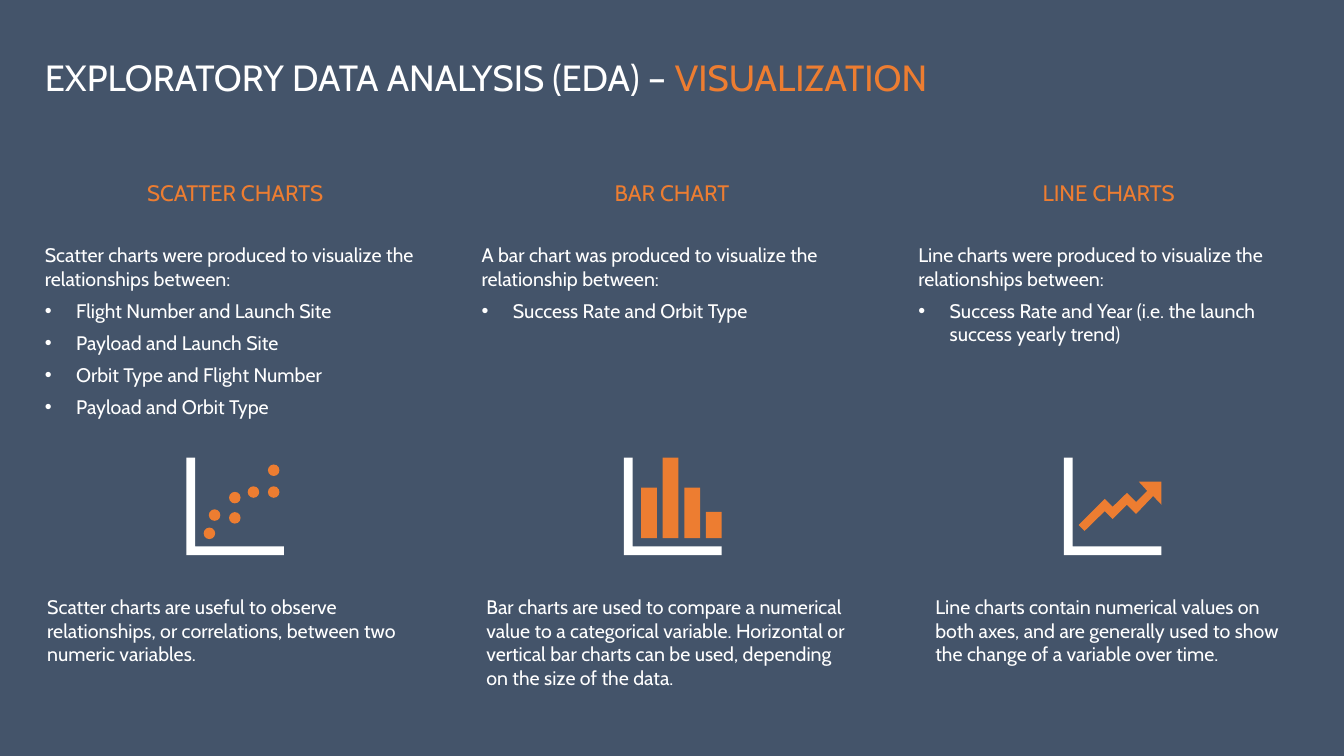
from lxml.etree import SubElement
from pptx import Presentation
from pptx.dml.color import RGBColor
from pptx.enum.shapes import MSO_SHAPE as Preset
from pptx.enum.text import MSO_ANCHOR as Anchor, PP_ALIGN as Align
from pptx.oxml.ns import qn
from pptx.util import Cm, Pt

WHITE, ORANGE, SLATE = "FFFFFF", "ED7D31", "44546A"
rgb = RGBColor.from_string

prs = Presentation()
prs.slide_width, prs.slide_height = Cm(33.88), Cm(19.05)
slide = prs.slides.add_slide(prs.slide_layouts[6])
slide.background.fill.solid()
slide.background.fill.fore_color.rgb = rgb(SLATE)
shapes = slide.shapes


def add_text(box, paragraphs, size, anchor=Anchor.TOP, insets=(0, 0), **formats):
    """Write paragraphs, each a list of (text, colour) runs, and return them."""
    frame = shapes.add_textbox(*map(Cm, box)).text_frame
    frame.word_wrap, frame.vertical_anchor = True, anchor
    frame.margin_left = frame.margin_right = Cm(insets[0])
    frame.margin_top = frame.margin_bottom = Cm(insets[1])
    for index, runs in enumerate(paragraphs):
        paragraph = frame.add_paragraph() if index else frame.paragraphs[0]
        for name, value in formats.items():
            setattr(paragraph, name, value)
        for text, colour in runs:
            run = paragraph.add_run()
            run.text = text
            run.font.name, run.font.size = "Cabin", Pt(size)
            run.font.color.rgb = rgb(colour)
    return frame.paragraphs


def paint(shape, colour):
    shape.shadow.inherit = False
    shape.fill.solid()
    shape.fill.fore_color.rgb = rgb(colour)
    shape.line.fill.background()


add_text((1.13, 0.53, 30.4, 1.98),
         [[("EXPLORATORY DATA ANALYSIS (EDA) – ", WHITE), ("VISUALIZATION", ORANGE)]],
         26, Anchor.BOTTOM, line_spacing=0.9)

# Heading, introduction, bullets, closing note, left and height of the note
columns = [
    ("SCATTER CHARTS",
     "Scatter charts were produced to visualize the relationships between:",
     ["Flight Number and Launch Site", "Payload and Launch Site",
      "Orbit Type and Flight Number", "Payload and Orbit Type"],
     "Scatter charts are useful to observe relationships, or correlations, "
     "between two numeric variables.", 0.94, 2.03),
    ("BAR CHART",
     "A bar chart was produced to visualize the relationship between:",
     ["Success Rate and Orbit Type"],
     "Bar charts are used to compare a numerical value to a categorical variable. "
     "Horizontal or vertical bar charts can be used, depending on the size of the data.",
     12.01, 3.2),
    ("LINE CHARTS",
     "Line charts were produced to visualize the relationships between:",
     ["Success Rate and Year (i.e. the launch success yearly trend)"],
     "Line charts contain numerical values on both axes, and are generally used "
     "to show the change of a variable over time.", 23.33, 2.62),
]
COLUMN_WIDTH = 9.6
for index, (heading, intro, bullets, note, note_left, note_height) in enumerate(columns):
    left = 1.13 + index * 11.01
    add_text((left, 3.68, COLUMN_WIDTH, 2.34), [[(heading, ORANGE)]], 16,
             Anchor.MIDDLE, alignment=Align.CENTER, space_after=Pt(6))
    body = add_text((left, 6.13, COLUMN_WIDTH, 11.33),
                    [[(text, WHITE)] for text in [intro, *bullets]], 14, space_after=Pt(6))
    for bullet in body[1:]:
        props = bullet._p.get_or_add_pPr()
        props.set("marL", str(Cm(0.79)))
        props.set("indent", str(-Cm(0.79)))
        SubElement(SubElement(props, qn("a:buClr")), qn("a:srgbClr"), val=WHITE)
        SubElement(props, qn("a:buFont"), typeface="Arial")
        SubElement(props, qn("a:buChar"), char="•")
    add_text((note_left, 14.87, COLUMN_WIDTH, note_height), [[(note, WHITE)]], 14,
             insets=(0.25, 0.13))

# Chart icons, measured from the top left corner of each
ICON_TOP, ICON_SIZE, AXIS = 11.53, 2.46, 0.22
scatter_left, bar_left, line_left = 4.7, 15.73, 26.82
axes = [(0, 0), (0, ICON_SIZE), (ICON_SIZE, ICON_SIZE), (ICON_SIZE, ICON_SIZE - AXIS),
        (AXIS, ICON_SIZE - AXIS), (AXIS, 0)]
trend_arrow = [(1.89, 0.61), (2.1, 0.84), (1.82, 1.12), (1.59, 0.89), (1.23, 1.24),
               (1.03, 1.04), (0.37, 1.7), (0.52, 1.85), (1.03, 1.35), (1.23, 1.55),
               (1.59, 1.19), (1.82, 1.42), (2.25, 0.97), (2.46, 1.19), (2.46, 0.61)]
outlines = [(scatter_left, axes, WHITE), (bar_left, axes, WHITE),
            (line_left, axes, WHITE), (line_left, trend_arrow, ORANGE)]
for left, points, colour in outlines:
    corners = [(Cm(left + x), Cm(ICON_TOP + y)) for x, y in points]
    builder = shapes.build_freeform(*corners[0])
    builder.add_line_segments(corners[1:])
    paint(builder.convert_to_shape(), colour)

DOT = 0.29
for x, y in [(0.58, 1.91), (0.71, 1.45), (1.22, 1.52), (1.22, 1.01),
             (1.69, 0.87), (2.2, 0.87), (2.2, 0.32)]:
    paint(shapes.add_shape(Preset.OVAL, Cm(scatter_left + x - DOT / 2),
                           Cm(ICON_TOP + y - DOT / 2), Cm(DOT), Cm(DOT)), ORANGE)

BAR_BASE = 2.03
for index, height in enumerate([1.27, 2.03, 1.27, 0.66]):
    paint(shapes.add_shape(Preset.RECTANGLE, Cm(bar_left + 0.43 + index * 0.545),
                           Cm(ICON_TOP + BAR_BASE - height), Cm(0.4), Cm(height)), ORANGE)

prs.save("out.pptx")
